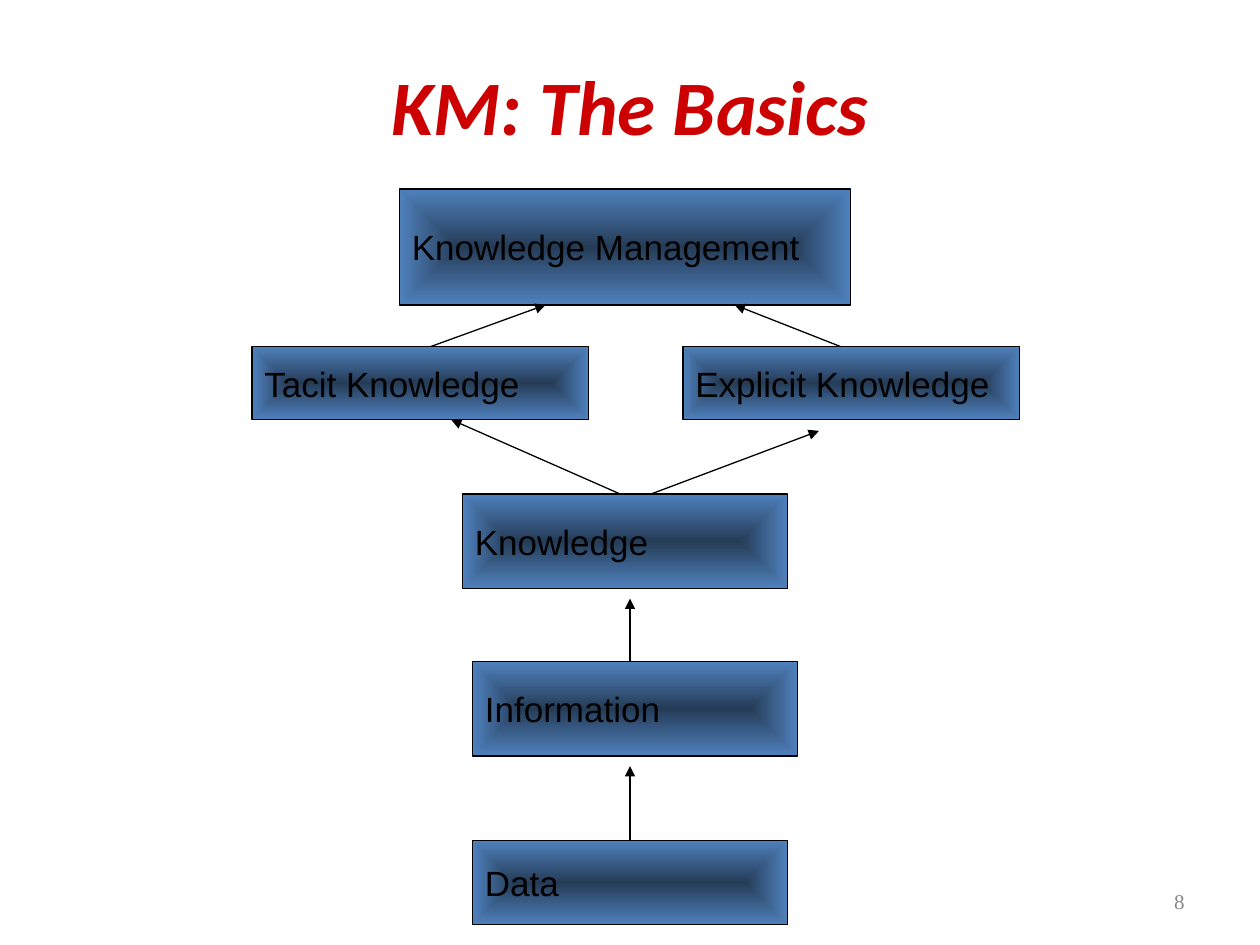
"""Build the knowledge management hierarchy slide."""
import pptx
import pptx.dml.color
import pptx.enum.shapes
import pptx.enum.text
import pptx.oxml
import pptx.oxml.ns
import pptx.util

Inches = pptx.util.Inches
ALIGN = pptx.enum.text.PP_ALIGN
BLACK, RED, GREY = "000000", "CC0000", "898989"
GRADIENT = [(0, "253C57"), (1, "4F81BD")]

BOXES = {
    "Data": (3.75, 6.67, 2.5, 0.67),
    "Information": (3.75, 5.25, 2.58, 0.75),
    "Knowledge": (3.67, 3.92, 2.58, 0.75),
    "Tacit Knowledge": (2, 2.75, 2.67, 0.58),
    "Explicit Knowledge": (5.42, 2.75, 2.67, 0.58),
    "Knowledge Management": (3.17, 1.5, 3.58, 0.92),
}
ARROWS = [
    ("Data", 5, (5, 6.08)),
    ("Information", 5, (5, 4.75)),
    ("Knowledge", 4.92, (3.58, 3.33)),
    ("Knowledge", 5.17, (6.5, 3.42)),
    ("Tacit Knowledge", 3.42, (4.33, 2.42)),
    ("Explicit Knowledge", 6.67, (5.83, 2.42)),
]
LABELS = [
    ("KM: The Basics", (0.5, 0.17, 9, 1.33), "Calibri", 44, RED, ALIGN.CENTER, True),
    ("8", (7.17, 6.95, 2.33, 0.4), "Times New Roman", 12, GREY, ALIGN.RIGHT, False),
]


def rgb(value):
    return pptx.dml.color.RGBColor.from_string(value)


def dml(xml):
    return pptx.oxml.parse_xml(xml.replace("/>", f" {pptx.oxml.ns.nsdecls('a')}/>", 1)
                               if xml.endswith("/>") and xml.count("<") == 1
                               else xml.replace(">", f" {pptx.oxml.ns.nsdecls('a')}>", 1))


def write(sp, text, font, size, color, align, strong=False):
    tf = sp.text_frame
    tf.text = text
    tf.word_wrap = True
    tf.vertical_anchor = pptx.enum.text.MSO_ANCHOR.MIDDLE
    p = tf.paragraphs[0]
    p.alignment = align
    f = p.runs[0].font
    f.name, f.size, f.color.rgb = font, pptx.util.Pt(size), rgb(color)
    f.bold = f.italic = strong


def outline(sp):
    sp.line.color.rgb = rgb(BLACK)
    sp.line.width = pptx.util.Pt(0.75)


def add_box(s, text, place):
    sp = s.shapes.add_shape(pptx.enum.shapes.MSO_SHAPE.RECTANGLE, *map(Inches, place))
    sp.shadow.inherit = False
    outline(sp)
    sp.fill.gradient()
    for stop, (position, color) in zip(sp.fill.gradient_stops, GRADIENT):
        stop.position, stop.color.rgb = position, rgb(color)
    lin = sp._element.spPr.find(".//" + pptx.oxml.ns.qn("a:lin"))
    lin.getparent().replace(lin, dml(
        '<a:path path="rect"><a:fillToRect l="50000" t="50000" r="50000" b="50000"/></a:path>'))
    write(sp, text, "Arial", 20, BLACK, ALIGN.LEFT)
    return sp


def add_arrow(s, box, place, x, end):
    left, top, width, _ = place
    sp = s.shapes.add_connector(pptx.enum.shapes.MSO_CONNECTOR.STRAIGHT,
                                *map(Inches, (x, top, *end)))
    if abs(left + width / 2 - x) < 0.01:
        sp.begin_connect(box, 0)
    outline(sp)
    sp.line._get_or_add_ln().append(dml('<a:tailEnd type="triangle"/>'))
    sp._element.spPr.append(dml("<a:effectLst/>"))


def main():
    prs = pptx.Presentation()
    prs.slide_width, prs.slide_height = Inches(10), Inches(7.5)
    s = prs.slides.add_slide(prs.slide_layouts[6])
    for text, place, *style in LABELS:
        write(s.shapes.add_textbox(*map(Inches, place)), text, *style)
    boxes = {text: add_box(s, text, place) for text, place in BOXES.items()}
    for name, x, end in ARROWS:
        add_arrow(s, boxes[name], BOXES[name], x, end)
    prs.save("out.pptx")


if __name__ == "__main__":
    main()
